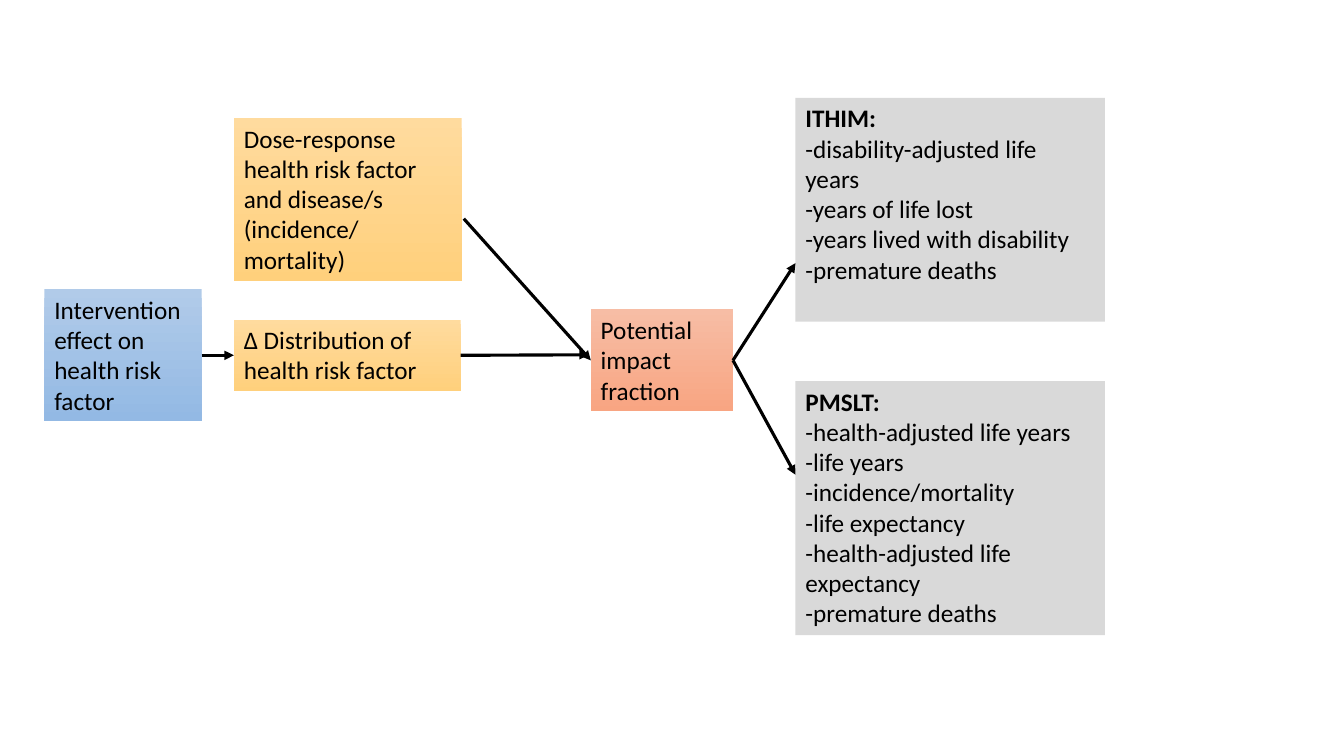
"""Build a flow slide from an intervention effect to health outcomes."""
from lxml import etree
from pptx import Presentation
from pptx import util as u
from pptx.dml.color import RGBColor
from pptx.enum import shapes, text
from pptx.oxml.ns import qn

COLORS = {
    "black": "000000",
    "blue": ("B1CBE9", "93B9E4"),
    "gold": ("FFDB9E", "FFD07C"),
    "coral": ("F7BDA5", "F8A582"),
    "gray": "D9D9D9",
}
FONT, FONT_SIZE, LINE_WIDTH = "Calibri", 18, 2.25
LEFT_SIDE, RIGHT_SIDE = 1, 3

BOXES = {
    "intervention": ((0.44, 2.87, 1.56, 1.31), "blue",
                     ["Intervention effect on health risk factor"]),
    "distribution": ((2.32, 3.17, 2.25, 0.71), "gold",
                     ["Δ Distribution of health risk factor"]),
    "dose_response": ((2.32, 1.17, 2.26, 1.62), "gold",
                      ["Dose-response health risk factor and disease/s (incidence/",
                       "mortality)"]),
    "impact": ((5.86, 3.07, 1.41, 1.01), "coral",
               ["Potential impact fraction"]),
    "pmslt": ((7.89, 3.78, 3.07, 2.52), "gray",
              ["PMSLT:", "-health-adjusted life years", "-life years",
               "-incidence/mortality", "-life expectancy",
               "-health-adjusted life expectancy", "-premature deaths"]),
    "ithim": ((7.89, 0.97, 3.07, 2.22), "gray",
              ["ITHIM:", "-disability-adjusted life years",
               "-years of life lost", "-years lived with disability",
               "-premature deaths"]),
}

ARROWS = [
    ("intervention", "distribution"),
    ((4.6, 2.17), "impact"),
    ("distribution", (5.84, 3.52)),
    ("impact", (7.89, 4.71)),
    ("impact", (7.89, 2.61)),
]


def rgb(value):
    return RGBColor.from_string(value)


def add_box(slide, position, color, lines):
    shape = slide.shapes.add_shape(
        shapes.MSO_SHAPE.RECTANGLE, *map(u.Inches, position))
    shape.shadow.inherit = False
    shape.line.fill.background()
    fill = COLORS[color]
    if isinstance(fill, tuple):
        shape.fill.gradient()
        shape.fill.gradient_angle = 270
        for stop, value in zip(shape.fill.gradient_stops, fill):
            stop.color.rgb = rgb(value)
    else:
        shape.fill.solid()
        shape.fill.fore_color.rgb = rgb(fill)

    frame = shape.text_frame
    frame.word_wrap = True
    frame.vertical_anchor = text.MSO_ANCHOR.TOP
    frame.text = "\n".join(lines)
    for paragraph in frame.paragraphs:
        paragraph.alignment = text.PP_ALIGN.LEFT
        paragraph.font.name = FONT
        paragraph.font.size = u.Pt(FONT_SIZE)
        paragraph.font.color.rgb = rgb(COLORS["black"])
        paragraph.font.bold = paragraph.text.endswith(":")
    return shape


def add_arrow(slide, boxes, start, end):
    points = [(0, 0) if isinstance(place, str) else place
              for place in (start, end)]
    arrow = slide.shapes.add_connector(
        shapes.MSO_CONNECTOR.STRAIGHT,
        *(u.Inches(value) for point in points for value in point))
    if start in boxes:
        arrow.begin_connect(boxes[start], RIGHT_SIDE)
    if end in boxes:
        arrow.end_connect(boxes[end], LEFT_SIDE)
    arrow.line.color.rgb = rgb(COLORS["black"])
    arrow.line.width = u.Pt(LINE_WIDTH)
    properties = arrow._element.spPr
    etree.SubElement(properties.find(qn("a:ln")), qn("a:tailEnd"), type="triangle")
    etree.SubElement(properties, qn("a:effectLst"))


def main():
    presentation = Presentation()
    presentation.slide_width = u.Inches(13.33)
    presentation.slide_height = u.Inches(7.5)
    slide = presentation.slides.add_slide(presentation.slide_layouts[6])
    boxes = {name: add_box(slide, *box) for name, box in BOXES.items()}
    for start, end in ARROWS:
        add_arrow(slide, boxes, start, end)
    presentation.save("out.pptx")


if __name__ == "__main__":
    main()
